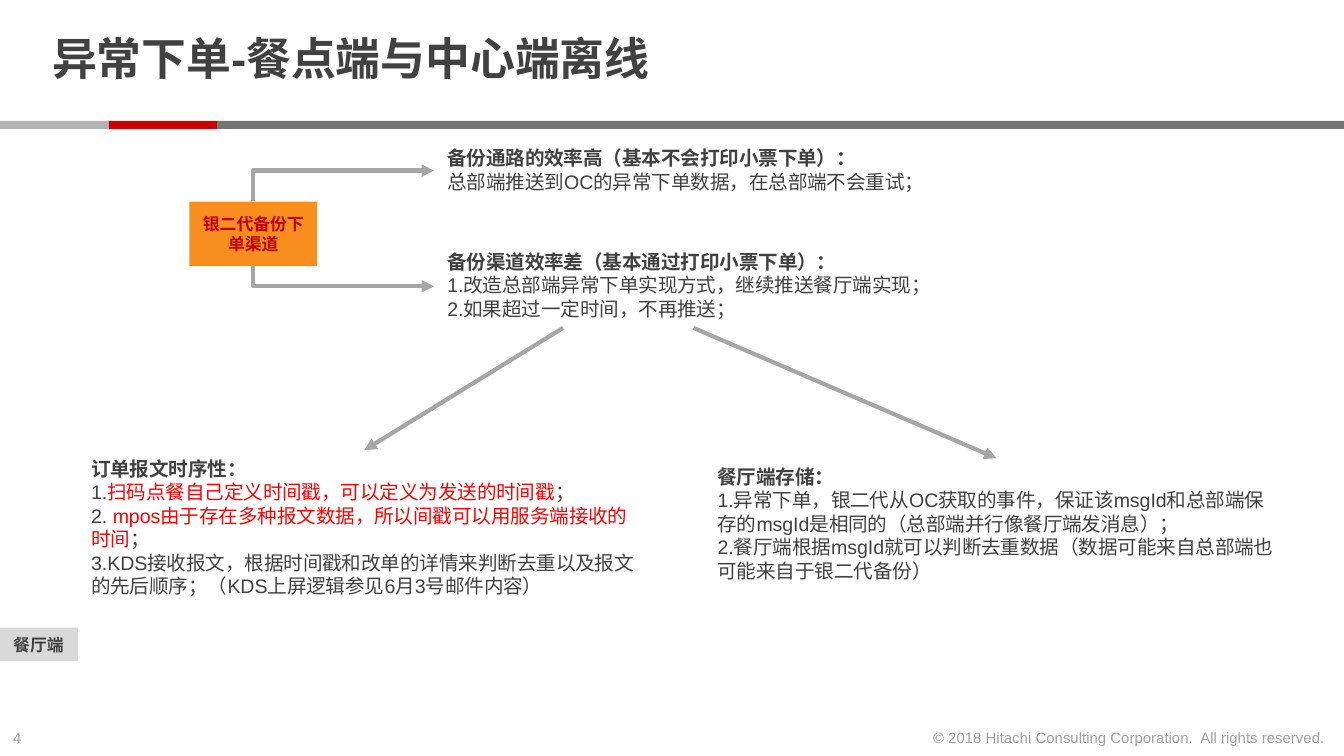
from pptx import Presentation
from pptx.dml.color import RGBColor
from pptx.enum.shapes import MSO_CONNECTOR, MSO_SHAPE
from pptx.enum.text import MSO_ANCHOR, MSO_AUTO_SIZE, PP_ALIGN
from pptx.oxml.ns import qn
from pptx.util import Inches, Pt
from lxml.etree import SubElement

COLORS = {
    "text": "414141",
    "muted": "A0A0A0",
    "red": "CC0000",
    "light": "B3B3B3",
    "dark": "737373",
    "tag": "D9D9D9",
    "orange": "F78E1E",
    "channel": "C00000",
    "alert": "FF0000",
    "arrow": "A6A6A6",
}
LATIN = "Arial"
CHINESE = "Noto Sans CJK SC"


def color(name):
    return RGBColor.from_string(COLORS[name])


def add_span(para, text, size, tone="text", bold=False, font=LATIN):
    span = para.add_run()
    span.text = text
    span.font.size = Pt(size)
    span.font.bold = bold
    span.font.color.rgb = color(tone)
    span.font.name = font
    SubElement(span.font._element, qn("a:ea"), typeface=CHINESE)


def add_text_box(page, left, top, width, height, wrap=True, grow=True):
    box = page.shapes.add_textbox(Inches(left), Inches(top), Inches(width), Inches(height))
    box.text_frame.word_wrap = wrap
    box.text_frame.auto_size = MSO_AUTO_SIZE.SHAPE_TO_FIT_TEXT if grow else MSO_AUTO_SIZE.NONE
    return box


def add_block(page, left, top, width, height, fill):
    block = page.shapes.add_shape(
        MSO_SHAPE.RECTANGLE, Inches(left), Inches(top), Inches(width), Inches(height))
    block.shadow.inherit = False
    block.fill.solid()
    block.fill.fore_color.rgb = color(fill)
    block.line.fill.background()
    return block


def add_header(page, left, top, width):
    box = add_text_box(page, left + 0.29, top + 0.06, 7.71, 0.8, grow=False)
    frame = box.text_frame
    frame.margin_top = frame.margin_bottom = 0
    frame.vertical_anchor = MSO_ANCHOR.MIDDLE
    para = frame.paragraphs[0]
    para.line_spacing = 0.85
    add_span(para, "异常下单-餐点端与中心端离线", 24, bold=True)
    step = 0.81
    stripes = [(0, step, "light"), (step, step, "red"), (2 * step, width - 2 * step, "dark")]
    for offset, length, fill in stripes:
        add_block(page, left + offset, top + 0.9, length, 0.06, fill)


def add_footer(page, left, top, width):
    number = add_text_box(page, left, top, 0.34, 0.24, wrap=False)
    add_span(number.text_frame.paragraphs[0], "4", 8, "muted")
    notice = add_text_box(page, left + width - 3.2, top, 3.16, 0.24, wrap=False)
    para = notice.text_frame.paragraphs[0]
    para.alignment = PP_ALIGN.RIGHT
    add_span(para, "© 2018 Hitachi Consulting Corporation.\u00a0 All rights reserved.", 8, "muted")


def add_side_tag(page, left, top, width, height):
    tag = add_block(page, left, top, width, height, "tag")
    tag.text_frame.word_wrap = False
    para = tag.text_frame.paragraphs[0]
    para.alignment = PP_ALIGN.LEFT
    add_span(para, "餐厅端", 9, bold=True, font=CHINESE)


def add_channel(page, left, top, width, height):
    channel = add_block(page, left, top, width, height, "orange")
    channel.text_frame.word_wrap = True
    channel.text_frame.vertical_anchor = MSO_ANCHOR.MIDDLE
    para = channel.text_frame.paragraphs[0]
    para.alignment = PP_ALIGN.CENTER
    add_span(para, "银二代备份下单渠道", 9, "channel", True, CHINESE)


def add_note(page, left, top, width, height, heading, lines):
    note = add_text_box(page, left, top, width, height)
    frame = note.text_frame
    add_span(frame.paragraphs[0], heading, 10.5, bold=True)
    for line in lines:
        para = frame.add_paragraph()
        for text, tone in line:
            add_span(para, text, 10.5, tone)
    return note


def add_arrow(page, kind, start_x, start_y, end_x, end_y):
    arrow = page.shapes.add_connector(
        kind, Inches(start_x), Inches(start_y), Inches(end_x), Inches(end_y))
    arrow.line.color.rgb = color("arrow")
    arrow.line.width = Pt(2.25)
    SubElement(arrow.line._get_or_add_ln(), qn("a:tailEnd"), type="triangle")
    SubElement(arrow._element.spPr, qn("a:effectLst"))
    return arrow


def add_corner_arrow(page, start_x, start_y, end_x, end_y):
    center_x, center_y = (start_x + end_x) / 2, (start_y + end_y) / 2
    half_rise = abs(end_y - start_y) / 2
    half_run = (end_x - start_x) / 2
    upward = end_y < start_y
    shift = half_run if upward else -half_run
    arrow = add_arrow(page, MSO_CONNECTOR.ELBOW, center_x + half_rise, center_y + shift,
                      center_x - half_rise, center_y - shift)
    properties = arrow._element.spPr
    properties.find(qn("a:prstGeom")).set("prst", "bentConnector2")
    properties.find(qn("a:xfrm")).set("rot", str((90 if upward else 270) * 60000))


def add_flow(page, left, top):
    channel_x, channel_y, channel_width, channel_height = left + 1.41, top + 0.46, 0.95, 0.48
    note_x = left + 3.23
    lower = add_note(
        page, note_x, top + 0.77, 3.86, 0.63, "备份渠道效率差（基本通过打印小票下单）：",
        [[("1.改造总部端异常下单实现方式，继续推送餐厅端实现；", "text")],
         [("2.如果超过一定时间，不再推送；", "text")]])
    add_note(
        page, note_x, top, 4.43, 0.45, "备份通路的效率高（基本不会打印小票下单）：",
        [[("总部端推送到OC的异常下单数据，在总部端不会重试；", "text")]])
    add_channel(page, channel_x, channel_y, channel_width, channel_height)
    middle = channel_x + channel_width / 2
    add_corner_arrow(page, middle, channel_y, note_x, top + 0.23)
    add_corner_arrow(page, middle, channel_y + channel_height, note_x, top + 1.09)

    order = add_note(
        page, left + 0.58, top + 2.31, 4.26, 1.16, "订单报文时序性：",
        [[("1.", "text"), ("扫码点餐自己定义时间戳，可以定义为发送的时间戳", "alert"), ("；", "text")],
         [("2. ", "text"),
          ("mpos由于存在多种报文数据，所以间戳可以用服务端接收的时间", "alert"),
          ("；", "text")],
         [("3.KDS接收报文，根据时间戳和改单的详情来判断去重以及报文的先后顺序；"
           "（KDS上屏逻辑参见6月3号邮件内容）", "text")]])
    storage = add_note(
        page, left + 5.24, top + 2.37, 4.35, 0.98, "餐厅端存储：",
        [[("1.异常下单，银二代从OC获取的事件，保证该msgId和总部端保存的msgId是相同的"
           "（总部端并行像餐厅端发消息）；", "text")],
         [("2.餐厅端根据msgId就可以判断去重数据"
           "（数据可能来自总部端也可能来自于银二代备份）", "text")]])
    to_order = add_arrow(
        page, MSO_CONNECTOR.STRAIGHT, left + 4.19, top + 1.4, left + 2.71, top + 2.31)
    to_order.end_connect(order, 0)
    to_storage = add_arrow(
        page, MSO_CONNECTOR.STRAIGHT, left + 5.16, top + 1.4, left + 7.42, top + 2.37)
    to_storage.begin_connect(lower, 2)
    to_storage.end_connect(storage, 0)


def main():
    deck = Presentation()
    deck.slide_width = Inches(10)
    deck.slide_height = deck.slide_width * 9 // 16
    page = deck.slides.add_slide(deck.slide_layouts[6])
    add_header(page, 0, 0, 10)
    add_footer(page, 0, 5.37, 10)
    add_side_tag(page, 0, 4.67, 0.58, 0.25)
    add_flow(page, 0, 1.04)
    deck.save("out.pptx")


if __name__ == "__main__":
    main()
